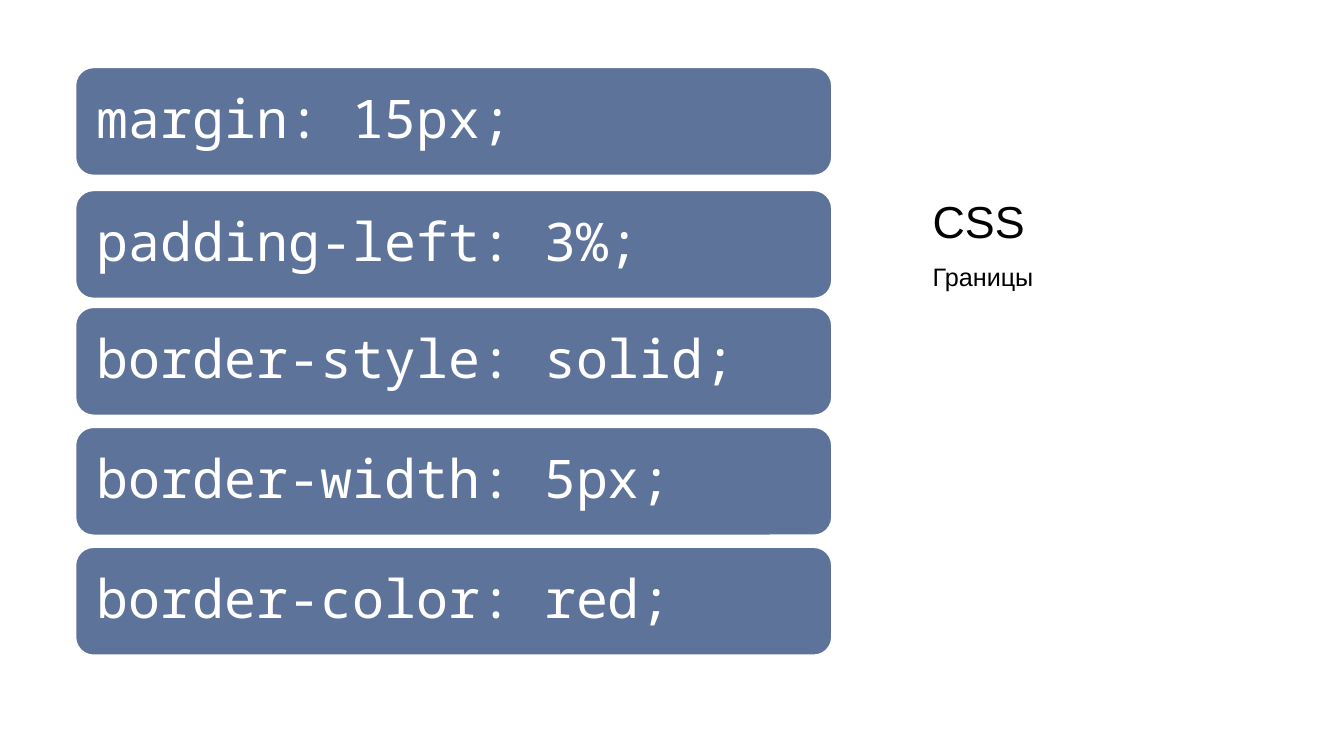
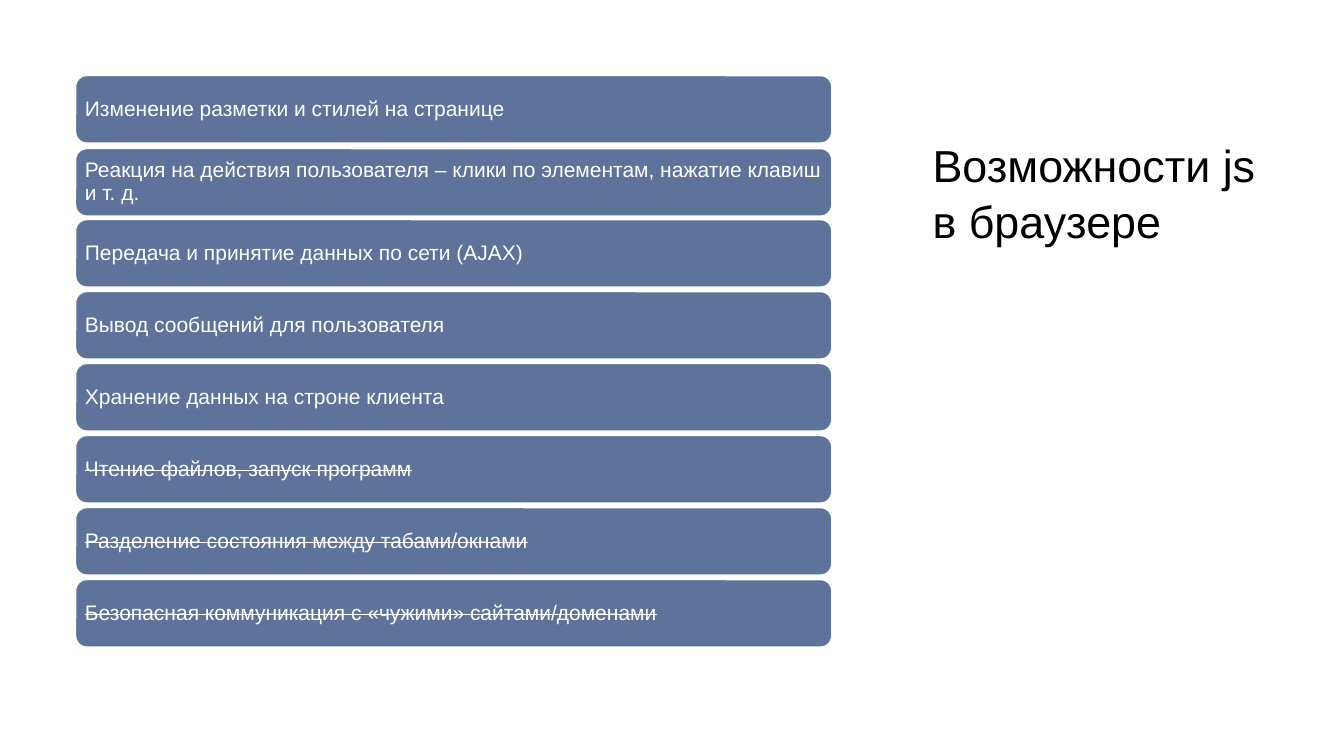
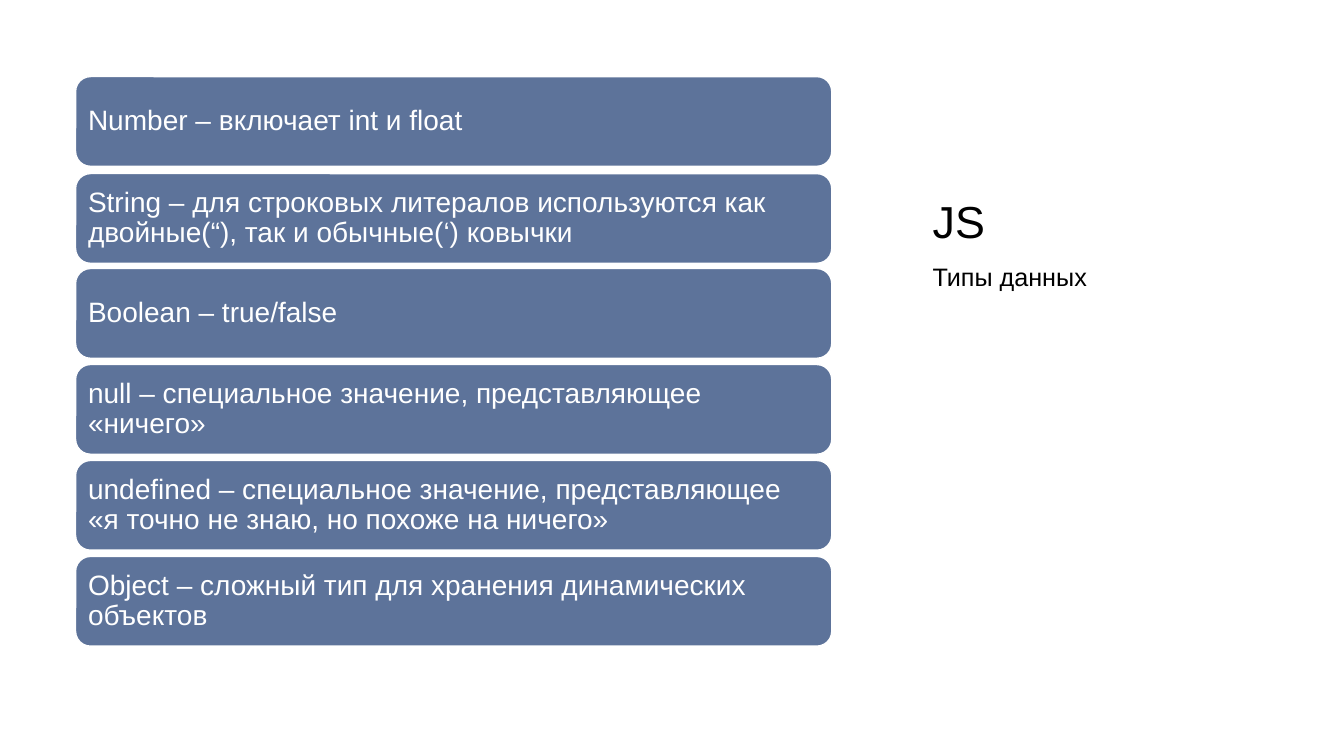
"""Build three slides, each with a stack of bars and a heading on the right."""
from dataclasses import dataclass
from pptx import Presentation, util as u
from pptx.dml import color
from pptx.enum import shapes, text


@dataclass(frozen=True)
class Theme:
    bar: color.RGBColor = color.RGBColor.from_string("5D739A")
    light: color.RGBColor = color.RGBColor.from_string("FFFFFF")
    dark: color.RGBColor = color.RGBColor.from_string("000000")
    font: str = "Arial"
    code_font: str = "Noto Sans Mono"
    title_size: int = 32
    subtitle_size: int = 18


theme = Theme()


def write(box, words, font, size, ink, anchor, inset, para_format):
    """Put one formatted paragraph into a box and return its run."""
    frame = box.text_frame
    margin = u.Inches(inset)
    frame_format = dict(word_wrap=True, vertical_anchor=anchor, margin_left=margin,
                        margin_top=margin, margin_right=margin, margin_bottom=margin)
    for name, value in frame_format.items():
        setattr(frame, name, value)
    para = frame.paragraphs[0]
    for name, value in para_format.items():
        setattr(para, name, value)
    span = para.add_run()
    span.text = words
    for name, value in dict(name=font, size=u.Pt(size)).items():
        setattr(span.font, name, value)
    span.font.color.rgb = ink
    return span


pages = [
    dict(
        title="CSS", subtitle="Границы", font=theme.code_font, size=38, inset=0.16,
        first_top=0.67, last_top=5.43, height=1.07, second_drop=0.03,
        bars=["margin: 15px;", "padding-left: 3%;", "border-style: solid;",
              "border-width: 5px;", "border-color: red;"],
        struck=[],
    ),
    dict(
        title="Возможности js в браузере", subtitle="", font=theme.font, size=15, inset=0.06,
        first_top=0.75, last_top=5.75, height=0.67, second_drop=0.01,
        bars=["Изменение разметки и стилей на странице",
              "Реакция на действия пользователя – клики по элементам, нажатие клавиш и т. д.",
              "Передача и принятие данных по сети (AJAX)",
              "Вывод сообщений для пользователя",
              "Хранение данных на строне клиента"],
        struck=["Чтение файлов, запуск программ",
                "Разделение состояния между табами/окнами",
                "Безопасная коммуникация с «чужими» сайтами/доменами"],
    ),
    dict(
        title="JS", subtitle="Типы данных", font=theme.font, size=20, inset=0.08,
        first_top=0.76, last_top=5.52, height=0.89, second_drop=0.01,
        bars=["Number – включает int и float",
              "String – для строковых литералов используются как двойные(“), "
              "так и обычные(‘) ковычки",
              "Boolean – true/false",
              "null – специальное значение, представляющее «ничего»",
              "undefined – специальное значение, представляющее "
              "«я точно не знаю, но похоже на ничего»",
              "Object – сложный тип для хранения динамических объектов"],
        struck=[],
    ),
]

deck = Presentation()
deck.slide_width, deck.slide_height = u.Inches(13.33), u.Inches(7.5)

for content in pages:
    page = deck.slides.add_slide(deck.slide_layouts[6])

    title = page.shapes.add_textbox(u.Inches(9.25), u.Inches(0.66), u.Inches(3.46), u.Inches(1.8))
    write(title, content["title"], theme.font, theme.title_size, theme.dark,
          text.MSO_ANCHOR.BOTTOM, 0, dict(line_spacing=1.05))

    labels = content["bars"] + content["struck"]
    pitch = (content["last_top"] - content["first_top"]) / (len(labels) - 1)
    for row, label in enumerate(labels):
        top = content["first_top"] + row * pitch + (content["second_drop"] if row == 1 else 0)
        bar = page.shapes.add_shape(shapes.MSO_SHAPE.ROUNDED_RECTANGLE, u.Inches(0.75),
                                    u.Inches(top), u.Inches(7.5), u.Inches(content["height"]))
        bar.shadow.inherit = False
        bar.fill.solid()
        bar.fill.fore_color.rgb = theme.bar
        bar.line.color.rgb = theme.light
        bar.line.width = u.Pt(1)
        span = write(bar, label, content["font"], content["size"], theme.light,
                     text.MSO_ANCHOR.MIDDLE, content["inset"],
                     dict(alignment=text.PP_ALIGN.LEFT, line_spacing=0.9))
        if label in content["struck"]:
            span.font._element.set("strike", "sngStrike")

    if content["subtitle"]:
        subtitle = page.shapes.add_textbox(u.Inches(9.25), u.Inches(2.56),
                                           u.Inches(3.46), u.Inches(3.94))
        write(subtitle, content["subtitle"], theme.font, theme.subtitle_size, theme.dark,
              text.MSO_ANCHOR.TOP, 0, dict(line_spacing=1.1, space_before=u.Pt(8)))

deck.save("out.pptx")
